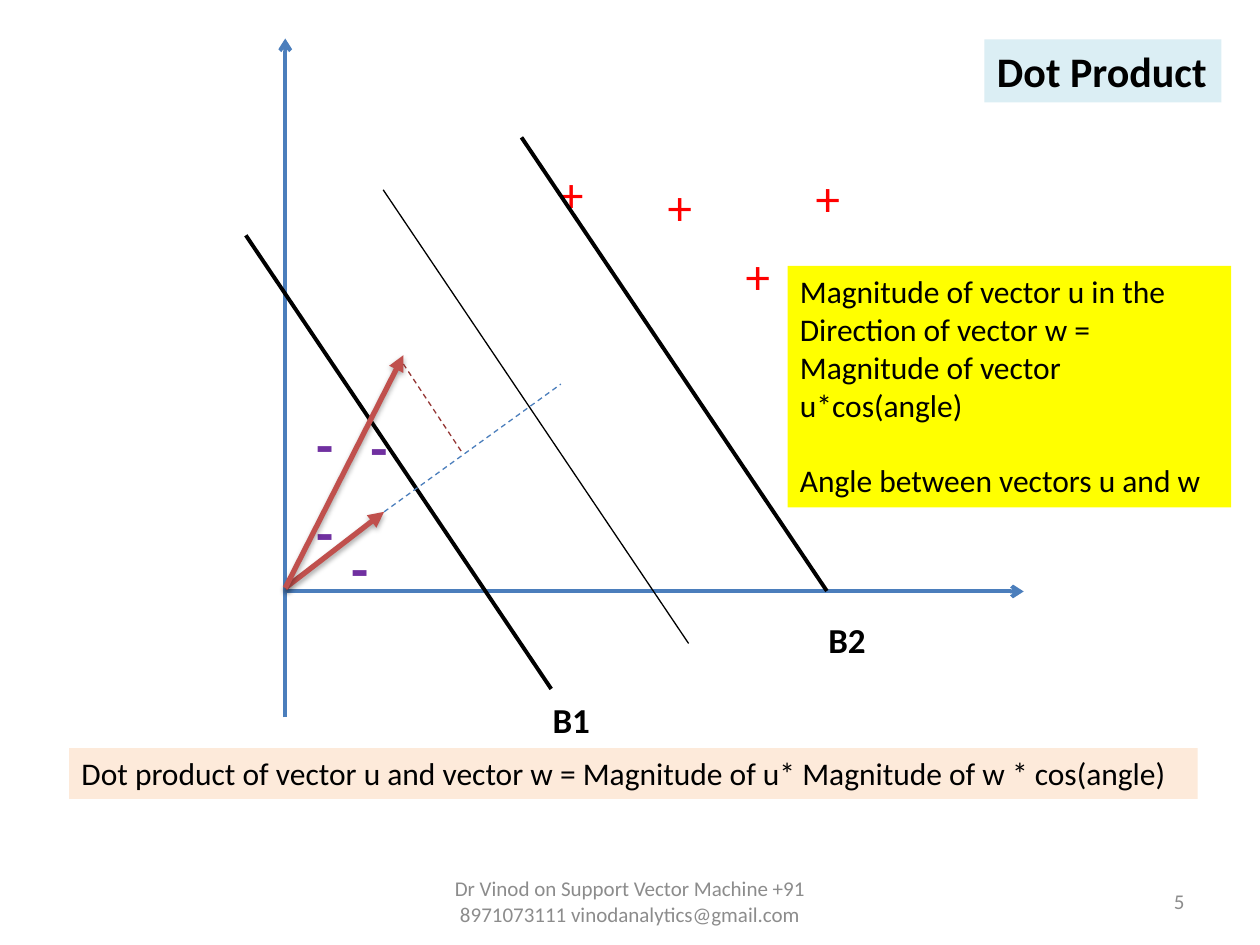
from pptx import Presentation
from pptx.dml.color import RGBColor
from pptx.enum.dml import MSO_LINE
from pptx.enum.shapes import MSO_CONNECTOR
from pptx.enum.text import MSO_ANCHOR, PP_ALIGN
from pptx.oxml.ns import qn
from pptx.util import Pt
from lxml.etree import SubElement

BLUE, RED, BLACK, GRAY = "4B7EBC", "C0504D", "000000", "8C8C8C"


def color(hex_value):
    return RGBColor.from_string(hex_value)


def set_text(shape, lines, size, text_color=BLACK, bold=False,
             align=PP_ALIGN.LEFT, anchor=MSO_ANCHOR.TOP, wrap=True):
    frame = shape.text_frame
    frame.word_wrap = wrap
    frame.vertical_anchor = anchor
    formats = {"name": "Calibri", "size": Pt(size), "bold": bold}
    for index, line in enumerate(lines):
        paragraph = frame.paragraphs[0] if index == 0 else frame.add_paragraph()
        paragraph.text = line
        paragraph.alignment = align
        for name, value in formats.items():
            setattr(paragraph.font, name, value)
        paragraph.font.color.rgb = color(text_color)
    return frame


def add_text(slide, box, lines, size, fill=None, **formats):
    shape = slide.shapes.add_textbox(*map(Pt, box))
    if fill:
        shape.fill.solid()
        shape.fill.fore_color.rgb = color(fill)
    return set_text(shape, lines, size, **formats)


def add_line(slide, start, end, line_color, width, dash=None, head=None, shadow=False):
    connector = slide.shapes.add_connector(MSO_CONNECTOR.STRAIGHT, *map(Pt, start + end))
    connector.line.color.rgb = color(line_color)
    connector.line.width = Pt(width)
    if dash:
        connector.line.dash_style = dash
    properties = connector._element.spPr
    if head:
        SubElement(properties.find(qn("a:ln")), qn("a:tailEnd"), type=head)
    effects = SubElement(properties, qn("a:effectLst"))
    if shadow:
        outer = SubElement(effects, qn("a:outerShdw"), blurRad=str(Pt(3.1)),
                           dist=str(Pt(1.8)), dir="5400000", rotWithShape="0")
        shade = SubElement(outer, qn("a:srgbClr"), val=BLACK)
        SubElement(shade, qn("a:alpha"), val="35000")


def add_plot(slide, left, top, width, height):
    def at(x, y):
        return left + x, top + y

    def label(x, y, label_width, label_height, text, size, text_color, bold):
        add_text(slide, at(x, y) + (label_width, label_height), [text], size,
                 text_color=text_color, bold=bold,
                 align=PP_ALIGN.CENTER, anchor=MSO_ANCHOR.MIDDLE)

    def boundary(x, y, line_width):
        add_line(slide, at(x, y), at(x + 174.5, y + 259.2), BLACK, line_width)

    axis_x, axis_y = 23, 316
    add_line(slide, at(axis_x, axis_y), at(width, axis_y), BLUE, 2.25, head="arrow")
    add_line(slide, at(axis_x, height), at(axis_x, 0), BLUE, 2.25, head="arrow")

    for x, y in [(316, 79.5), (231.5, 84.5), (276, 124), (169.5, 77.5)]:
        label(x, y, 34, 22, "+", 28, "FF0000", False)
    for x, y in [(59.5, 222), (48.5, 291), (28.5, 220), (28.5, 270.5)]:
        label(x, y, 34, 22, "-", 32, "7030A0", True)

    for x, y, line_width in [(0.5, 112.5, 2.25), (158, 56.5, 2.25), (79, 86.5, 0.75)]:
        boundary(x, y, line_width)
    for x, y, text in [(164, 372, "B1"), (321.5, 326.5, "B2")]:
        label(x, y, 45, 34, text, 20, BLACK, True)

    vector_w, vector_u = (79.5, 270.5), (90.5, 181)
    for tip in (vector_w, vector_u):
        add_line(slide, at(axis_x, axis_y - 2), at(*tip), RED, 3,
                 head="triangle", shadow=True)
    add_line(slide, at(*vector_w), at(180.5, 197.5), BLUE, 0.75, dash=MSO_LINE.DASH)
    add_line(slide, at(90.5, 186), at(124, 236.5), "953735", 0.75, dash=MSO_LINE.DASH)


def add_title(slide, left, top, width, height):
    title = slide.shapes.title
    bounds = {"left": left, "top": top, "width": width, "height": height}
    for name, value in bounds.items():
        setattr(title, name, Pt(value))
    title.fill.solid()
    title.fill.fore_color.rgb = color("DBEEF4")
    set_text(title, ["Dot Product"], 24, bold=True, wrap=False)


def add_notes_on_product(slide, left, top, width, height):
    frame = add_text(slide, (left, top, width, height), [
        "Magnitude of vector u in the",
        "Direction of vector w =",
        "Magnitude of vector u*cos(angle)",
        "Angle between vectors u and w",
    ], 18, fill="FFFF00")
    frame.paragraphs[-1].space_before = Pt(21.6)


def add_formula(slide, left, top, width, height):
    add_text(slide, (left, top, width, height), [
        "Dot product of vector u and vector w = Magnitude of u* Magnitude of w * cos(angle)",
    ], 18, fill="FDEADA", wrap=False)


def add_footer(slide, left, top, width, height):
    formats = {"text_color": GRAY, "anchor": MSO_ANCHOR.MIDDLE}
    add_text(slide, (left, top, 228, height),
             ["Dr Vinod on Support Vector Machine +91 8971073111 vinodanalytics@gmail.com"],
             12, align=PP_ALIGN.CENTER, **formats)
    number_width = 168
    add_text(slide, (left + width - number_width, top, number_width, height),
             ["5"], 12, align=PP_ALIGN.RIGHT, **formats)


def main():
    presentation = Presentation()
    presentation.slide_width = Pt(720)
    presentation.slide_height = Pt(540)
    slide = presentation.slides.add_slide(presentation.slide_layouts[5])
    add_plot(slide, 140, 22, 445, 388)
    add_footer(slide, 246, 500.5, 438, 28.8)
    add_notes_on_product(slide, 450, 152, 253.5, 138)
    add_formula(slide, 39.5, 427.5, 645, 29)
    add_title(slide, 562.5, 22.5, 135.5, 36)
    presentation.save("out.pptx")


if __name__ == "__main__":
    main()
